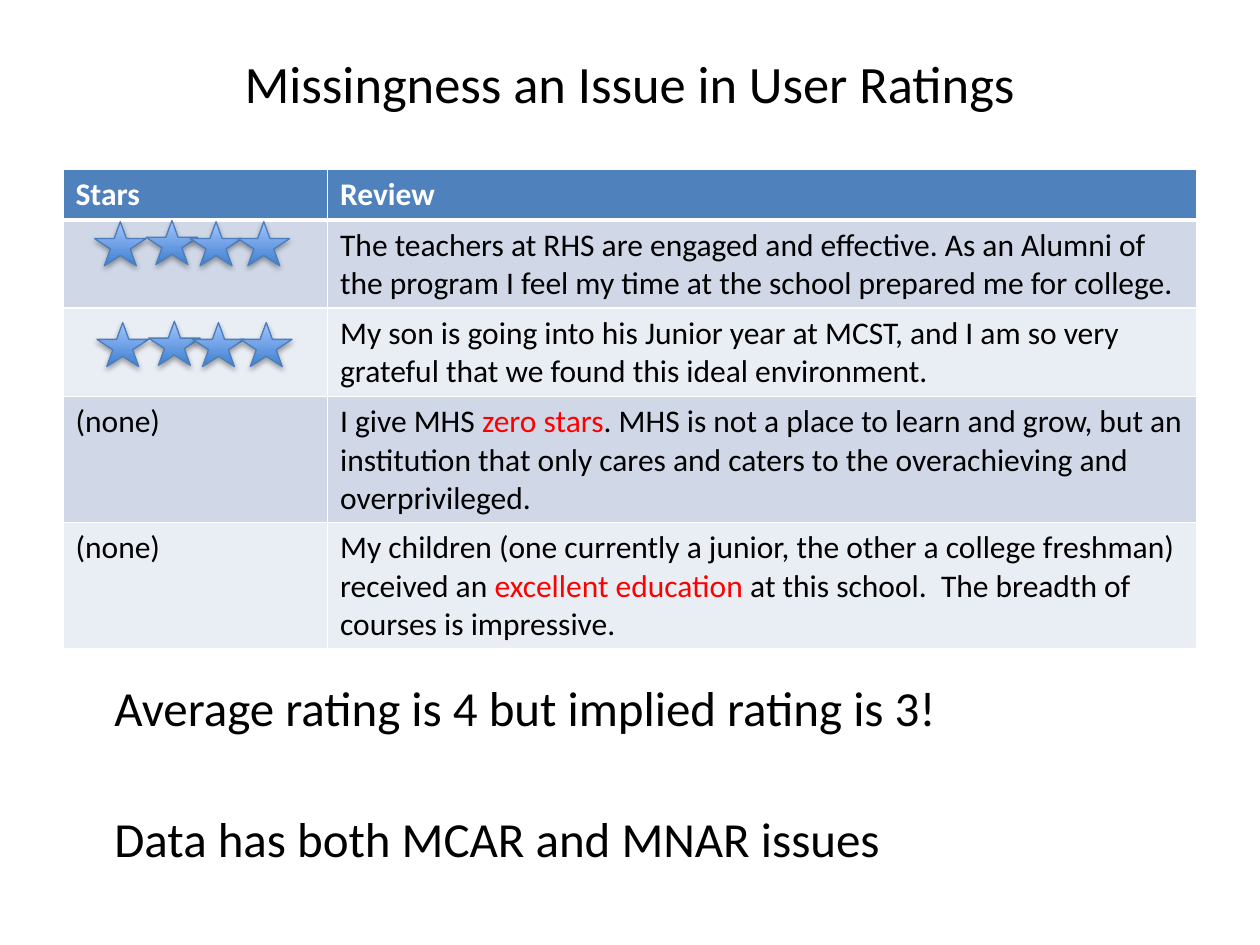
from pptx import Presentation
from pptx.dml.color import RGBColor
from pptx.enum.shapes import MSO_SHAPE as Preset
from pptx.enum.text import MSO_ANCHOR as Anchor, PP_ALIGN as Align
from pptx.oxml.ns import qn
from pptx.util import Pt
from lxml.etree import SubElement

BLACK, WHITE, RED = "000000", "FFFFFF", "FF0000"
HEADER, BANDS = "4F81BD", ("D0D8E8", "E9EDF4")

REVIEWS = [
    ("", [("The teachers at RHS are engaged and effective. As an Alumni of the program "
           "I feel my time at the school prepared me for college.", BLACK)]),
    ("", [("My son is going into his Junior year at MCST, and I am so very grateful "
           "that we found this ideal environment.", BLACK)]),
    ("(none)", [("I give MHS ", BLACK), ("zero stars", RED),
                (". MHS is not a place to learn and grow, but an institution that only "
                 "cares and caters to the overachieving and overprivileged.", BLACK)]),
    ("(none)", [("My children (one currently a junior, the other a college freshman) "
                 "received an ", BLACK), ("excellent education ", RED),
                ("at this school.  The breadth of courses is impressive.", BLACK)]),
]


def color(code):
    return RGBColor.from_string(code)


def write(para, text, size=18, fill=BLACK, bold=False, font="Calibri"):
    """Append one formatted run to a paragraph."""
    span = para.add_run()
    span.text = text
    span.font.name, span.font.size, span.font.bold = font, Pt(size), bold
    span.font.color.rgb = color(fill)


def add_borders(cell, bottom):
    """Draw white cell borders; the bottom one has its own width."""
    properties = cell._tc.get_or_add_tcPr()
    for side, width in (("L", 1), ("R", 1), ("T", 1), ("B", bottom)):
        line = SubElement(properties, qn(f"a:ln{side}"), w=str(Pt(width)))
        solid = SubElement(line, qn("a:solidFill"))
        SubElement(solid, qn("a:srgbClr"), val=WHITE)


def add_soft_shadow(shape):
    shape.shadow.inherit = False
    effects = shape._element.spPr.find(qn("a:effectLst"))
    shadow = SubElement(effects, qn("a:outerShdw"), blurRad=str(Pt(3.1)),
                        dist=str(Pt(1.8)), dir="5400000", rotWithShape="0")
    tint = SubElement(shadow, qn("a:srgbClr"), val=BLACK)
    SubElement(tint, qn("a:alpha"), val="35000")


class SlideBuilder:
    """Holds the current slide and draws its elements in one style."""

    star_size = (29.5, 25.2)
    star_offsets = ((0, 0.7), (29.5, 0), (54.7, 0.7), (82, 0.7))

    def __init__(self, page):
        self.page = page

    def text(self, left, top, width, height, text, align=Align.LEFT,
             anchor=Anchor.TOP, **style):
        box = self.page.shapes.add_textbox(Pt(left), Pt(top), Pt(width), Pt(height))
        frame = box.text_frame
        frame.word_wrap = True
        frame.vertical_anchor = anchor
        para = frame.paragraphs[0]
        para.alignment = align
        write(para, text, **style)

    def cell(self, cell, spans, fill, bottom=1, bold=False):
        add_borders(cell, bottom)
        cell.fill.solid()
        cell.fill.fore_color.rgb = color(fill)
        for text, ink in spans:
            write(cell.text_frame.paragraphs[0], text, fill=ink, bold=bold)

    def review_table(self, left, top, widths, row_height):
        frame = self.page.shapes.add_table(
            len(REVIEWS) + 1, len(widths), Pt(left), Pt(top),
            Pt(sum(widths)), Pt(row_height * (len(REVIEWS) + 1)))
        table = frame.table
        for column, width in zip(table.columns, widths):
            column.width = Pt(width)
        for index, heading in enumerate(("Stars", "Review")):
            self.cell(table.cell(0, index), [(heading, WHITE)], HEADER, bottom=3, bold=True)
        for row, (rating, review) in enumerate(REVIEWS, start=1):
            band = BANDS[(row - 1) % 2]
            self.cell(table.cell(row, 0), [(rating, BLACK)] if rating else [], band)
            self.cell(table.cell(row, 1), review, band)

    def stars(self, shapes, left, top):
        """Draw a four-star rating into a shape collection."""
        width, height = self.star_size
        for across, down in self.star_offsets:
            star = shapes.add_shape(Preset.STAR_5_POINT, Pt(left + across),
                                    Pt(top + down), Pt(width), Pt(height))
            star.fill.gradient()
            star.fill.gradient_angle = 90
            for stop, code, position in zip(star.fill.gradient_stops,
                                            ("3F80CE", "A4C4FF"), (0, 1)):
                stop.color.rgb = color(code)
                stop.position = position
            star.line.color.rgb = color("4B7EBC")
            star.line.width = Pt(0.75)
            add_soft_shadow(star)


def main():
    deck = Presentation()
    deck.slide_width, deck.slide_height = Pt(720), Pt(540)
    page = deck.slides.add_slide(deck.slide_layouts[6])
    builder = SlideBuilder(page)
    builder.text(36, 14.4, 648, 65.5, "Missingness an Issue in User Ratings",
                 align=Align.CENTER, anchor=Anchor.MIDDLE, size=30)
    builder.review_table(36, 96.5, (151.2, 496.8), 29.2)
    builder.stars(page.shapes, 54, 126)
    builder.stars(page.shapes.add_group_shape().shapes, 55.4, 183.6)
    builder.text(58.3, 458.6, 596, 41, "Data has both MCAR and MNAR issues", size=28)
    builder.text(58.3, 383.8, 596, 41, "Average rating is 4 but implied rating is 3!", size=28)
    deck.save("out.pptx")


if __name__ == "__main__":
    main()
